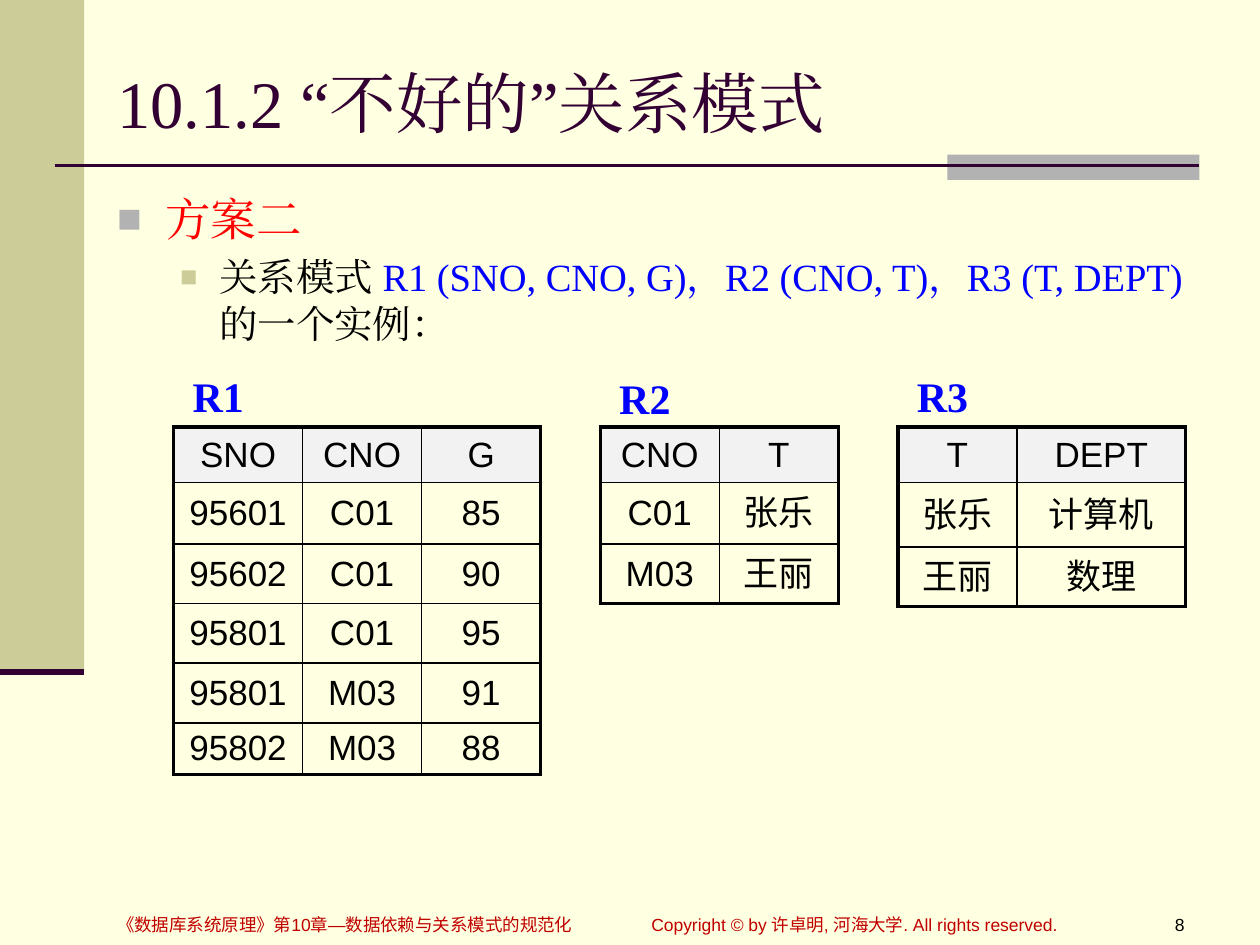
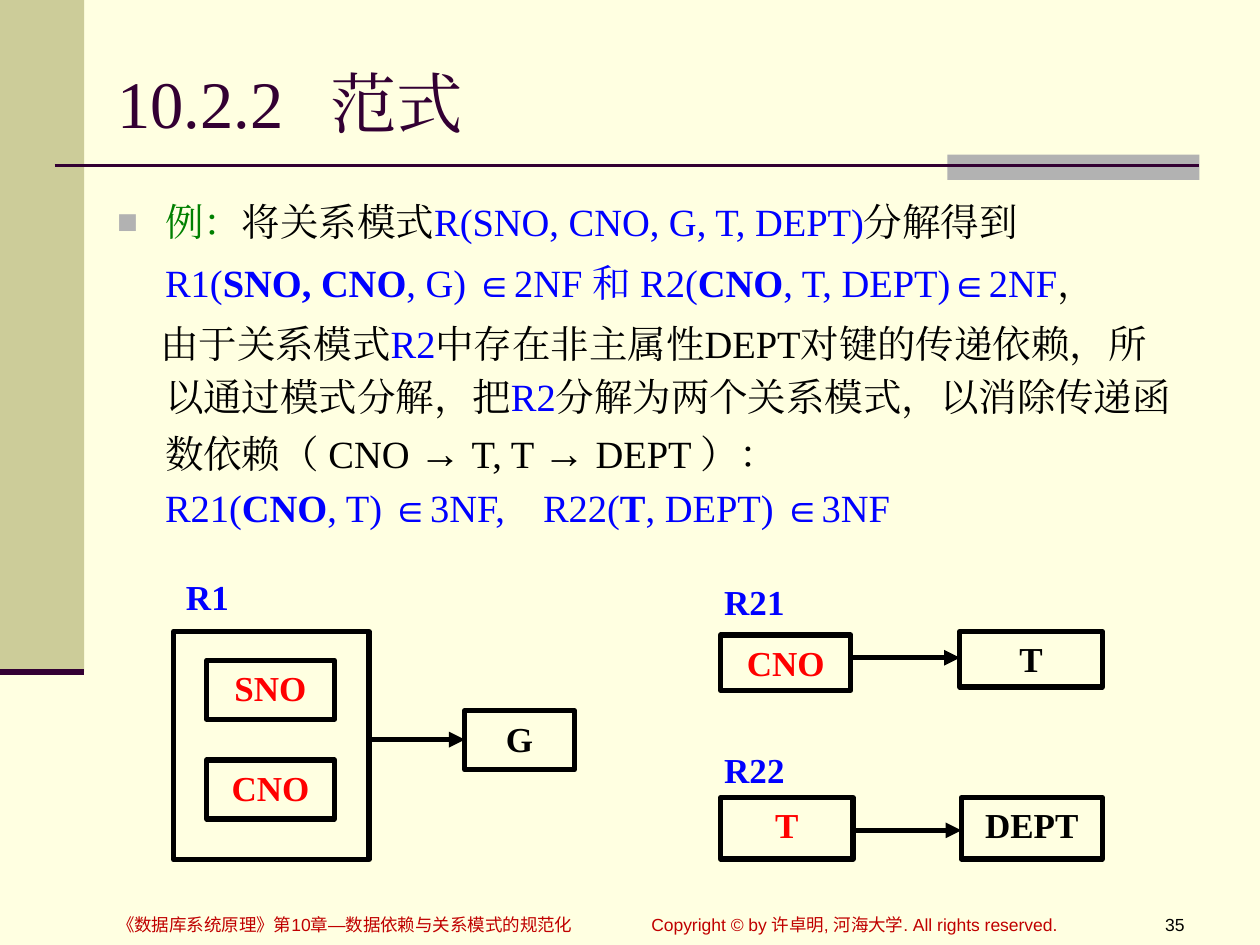
from dataclasses import dataclass
from typing import NamedTuple

from lxml.etree import SubElement
from pptx import Presentation
from pptx.dml.color import RGBColor
from pptx.enum.shapes import MSO_CONNECTOR, MSO_SHAPE
from pptx.enum.text import MSO_ANCHOR, PP_ALIGN
from pptx.oxml.ns import qn
from pptx.util import Cm, Pt


@dataclass(frozen=True)
class Theme:
    page: str = "FFFFE1"
    band: str = "CCCC99"
    block: str = "B2B2B2"
    plum: str = "330033"
    head: str = "F2F2F2"
    black: str = "000000"
    red: str = "FF0000"
    blue: str = "0000FF"
    green: str = "008000"
    foot: str = "C00000"
    serif: str = "Times New Roman"
    sans: str = "Arial"
    title: int = 38
    topic: int = 26
    label: int = 24
    body: int = 22
    cell: int = 20
    small: int = 10


T = Theme()


class Area(NamedTuple):
    """Left, top, width and height in centimetres."""
    x: float
    y: float
    w: float
    h: float


class Run(NamedTuple):
    text: str
    color: str = T.black
    bold: bool = False
    size: int = T.body


class Bullet(NamedTuple):
    color: str
    scale: int


class Grid(NamedTuple):
    name: str
    x: float
    top: float
    cols: list[float]
    rows: list[float]
    data: list[str]


class Box(NamedTuple):
    text: str
    area: Area
    color: str = T.black


class Arrow(NamedTuple):
    x: float
    y: float
    end: float


# Text
def put(para, text: str, *, size: int = T.body, color: str = T.black,
        bold: bool = False, font: str = T.serif, align=PP_ALIGN.LEFT) -> None:
    para.alignment = align
    run = para.add_run()
    run.text = text
    run.font.size, run.font.bold, run.font.name = Pt(size), bold, font
    run.font.color.rgb = RGBColor.from_string(color)
    SubElement(run._r.get_or_add_rPr(), qn("a:ea"), typeface=font)


def frame(slide, area: Area, anchor=MSO_ANCHOR.TOP):
    box = slide.shapes.add_textbox(*map(Cm, area)).text_frame
    box.word_wrap, box.vertical_anchor = True, anchor
    return box


def label(slide, area: Area, text: str, anchor=MSO_ANCHOR.TOP, **form) -> None:
    put(frame(slide, area, anchor).paragraphs[0], text, **form)


def tab(para, at: float) -> None:
    stops = SubElement(para._p.get_or_add_pPr(), qn("a:tabLst"))
    SubElement(stops, qn("a:tab"), pos=str(Cm(at)), algn="l")


def line(para, runs: list[Run], *, left: float = 0.97, first: float = 0,
         bullet: Bullet | None = None, before: float = 0,
         pitch: float = 1.0, stop: float = 0) -> None:
    prop = para._p.get_or_add_pPr()
    prop.set("marL", str(Cm(left)))
    prop.set("indent", str(Cm(first)))
    if bullet:
        tint = SubElement(prop, qn("a:buClr"))
        SubElement(tint, qn("a:srgbClr"), val=bullet.color)
        SubElement(prop, qn("a:buSzPct"), val=str(bullet.scale * 1000))
        SubElement(prop, qn("a:buFont"), typeface=T.sans)
        SubElement(prop, qn("a:buChar"), char="■")
    else:
        SubElement(prop, qn("a:buNone"))
    if stop:
        tab(para, stop)
    para.line_spacing = pitch
    if before:
        para.space_before = Pt(before)
    for run in runs:
        put(para, run.text, size=run.size, color=run.color, bold=run.bold)


# Shapes
def rect(slide, area: Area, fill: str = "", edge: float = 0):
    shape = slide.shapes.add_shape(MSO_SHAPE.RECTANGLE, *map(Cm, area))
    shape.shadow.inherit = False
    if fill:
        shape.fill.solid()
        shape.fill.fore_color.rgb = RGBColor.from_string(fill)
    else:
        shape.fill.background()
    if edge:
        shape.line.width = Pt(edge)
        shape.line.color.rgb = RGBColor.from_string(T.black)
    else:
        shape.line.fill.background()
    return shape


def rule(slide, x: float, y: float, end: float, width: float,
         color: str = T.black, tip: bool = False) -> None:
    link = slide.shapes.add_connector(
        MSO_CONNECTOR.STRAIGHT, Cm(x), Cm(y), Cm(end), Cm(y))
    link.line.width = Pt(width)
    link.line.color.rgb = RGBColor.from_string(color)
    if tip:
        SubElement(link.line._get_or_add_ln(), qn("a:tailEnd"), type="triangle")
    SubElement(link._element.spPr, qn("a:effectLst"))


def node(slide, box: Box) -> None:
    text = rect(slide, box.area, edge=3).text_frame
    text.word_wrap, text.vertical_anchor = True, MSO_ANCHOR.TOP
    put(text.paragraphs[0], box.text, size=T.cell, color=box.color,
        bold=True, align=PP_ALIGN.CENTER)


# Tables
def border(cell, outer: dict[str, bool]) -> None:
    prop = cell._tc.get_or_add_tcPr()
    for side, thick in outer.items():
        edge = SubElement(prop, qn(f"a:ln{side}"),
                          w=str(Pt(2.25 if thick else 1)))
        fill = SubElement(edge, qn("a:solidFill"))
        SubElement(fill, qn("a:srgbClr"), val=T.black)


def table(slide, grid: Grid) -> None:
    rows, cols = len(grid.rows), len(grid.cols)
    area = Area(grid.x, 8.61, sum(grid.cols), sum(grid.rows))
    sheet = slide.shapes.add_table(rows, cols, *map(Cm, area)).table
    sheet.first_row = sheet.horz_banding = False
    for col, width in zip(sheet.columns, grid.cols):
        col.width = Cm(width)
    for r, (height, words) in enumerate(zip(grid.rows, grid.data)):
        sheet.rows[r].height = Cm(height)
        for c, word in enumerate(words.split()):
            cell = sheet.cell(r, c)
            cell.vertical_anchor = MSO_ANCHOR.MIDDLE
            cell.margin_left = cell.margin_right = Cm(0.15)
            cell.margin_top = cell.margin_bottom = Cm(0.1)
            border(cell, {"L": c == 0, "R": c == cols - 1,
                          "T": r == 0, "B": r == rows - 1})
            if r:
                cell.fill.background()
            else:
                cell.fill.solid()
                cell.fill.fore_color.rgb = RGBColor.from_string(T.head)
            put(cell.text_frame.paragraphs[0], word, size=T.cell,
                font=T.sans, align=PP_ALIGN.CENTER)
    label(slide, Area(grid.x, grid.top, 1.8, 1.27), grid.name, size=T.label,
          color=T.blue, bold=True, align=PP_ALIGN.CENTER)


# Shared page: bands, title and footer
def page(deck, title: str, number: int):
    slide = deck.slides.add_slide(deck.slide_layouts[6])
    slide.background.fill.solid()
    slide.background.fill.fore_color.rgb = RGBColor.from_string(T.page)
    rect(slide, Area(0, 0, 1.7, 13.55), T.band)
    rect(slide, Area(19.1, 3.12, 5.08, 0.51), T.block)
    rule(slide, 1.1, 3.33, 24.18, 1.5, T.plum)
    rule(slide, 0, 13.55, 1.7, 3.5, T.plum)
    head = frame(slide, Area(2.11, 0.76, 22.02, 2.57), MSO_ANCHOR.MIDDLE)
    if "\t" in title:
        tab(head.paragraphs[0], 4.3)
    put(head.paragraphs[0], title, size=T.title, color=T.plum)
    foot = {"size": T.small, "font": T.sans}
    label(slide, Area(22.71, 18.31, 1.42, 0.69), str(number),
          align=PP_ALIGN.RIGHT, **foot)
    label(slide, Area(2.11, 18.31, 10.39, 0.69),
          "《数据库系统原理》第10章—数据依赖与关系模式的规范化",
          color=T.foot, **foot)
    label(slide, Area(12.88, 18.31, 9.19, 0.69),
          "Copyright © by 许卓明, 河海大学. All rights reserved.",
          color=T.foot, **foot)
    return slide


# Slide 1: three relations as tables
def schema(deck) -> None:
    slide = page(deck, "10.1.2 “不好的”关系模式", 8)
    body = frame(slide, Area(2.11, 3.73, 22.58, 14.6))
    line(body.paragraphs[0], [Run("方案二", T.red, size=T.topic)],
         first=-0.97, bullet=Bullet(T.block, 90))
    line(body.add_paragraph(), [
        Run("关系模式 "),
        Run("R1 (SNO, CNO, G)，R2 (CNO, T)，R3 (T, DEPT)", T.blue),
        Run("的一个实例："),
    ], left=2.06, first=-0.79, bullet=Bullet(T.band, 75), before=4.4)
    for grid in (
        Grid("R1", 3.5, 7.34, [2.6, 2.4, 2.4], [1.12, 1.24, 1.2, 1.2, 1.2, 1],
             ["SNO CNO G", "95601 C01 85", "95602 C01 90", "95801 C01 95",
              "95801 M03 91", "95802 M03 88"]),
        Grid("R2", 12.1, 7.39, [2.4, 2.4], [1.12, 1.24, 1.2],
             ["CNO T", "C01 张乐", "M03 王丽"]),
        Grid("R3", 18.1, 7.34, [2.4, 3.4], [1.12, 1.3, 1.2],
             ["T DEPT", "张乐 计算机", "王丽 数理"]),
    ):
        table(slide, grid)


# Slide 2: normal forms and dependency diagrams
def normal(deck) -> None:
    slide = page(deck, "10.2.2\t范式", 35)
    body = frame(slide, Area(2.11, 3.73, 22.02, 14.3))
    arrow = Run("→ ", size=T.label)
    line(body.paragraphs[0], [
        Run("例：", T.green), Run("将关系模式"),
        Run("R(SNO, CNO, G, T, DEPT)", T.blue), Run("分解得到"),
    ], first=-0.97, bullet=Bullet(T.block, 90), pitch=1.15)
    line(body.add_paragraph(), [
        Run("R1(", T.blue), Run("SNO, CNO", T.blue, True),
        Run(", G) ∈2NF 和 R2(", T.blue), Run("CNO", T.blue, True),
        Run(", T, DEPT)∈2NF", T.blue), Run("，"),
    ], before=4.4, pitch=1.15)
    line(body.add_paragraph(), [
        Run("由于关系模式"), Run("R2", T.blue),
        Run("中存在非主属性DEPT对键的传递依赖，所以通过模式分解，把"),
        Run("R2", T.blue),
        Run("分解为两个关系模式，以消除传递函数依赖（ CNO "),
        arrow, Run("T, T "), arrow, Run("DEPT ）："),
    ], first=-0.1, before=4.4, pitch=1.15)
    line(body.add_paragraph(), [
        Run("R21(", T.blue), Run("CNO", T.blue, True),
        Run(", T) ∈3NF,\tR22(", T.blue), Run("T", T.blue, True),
        Run(", DEPT) ∈3NF", T.blue),
    ], pitch=1.15, stop=8.59)

    rect(slide, Area(3.5, 12.73, 3.94, 4.6), edge=3)
    for box in (
        Box("SNO", Area(4.17, 13.31, 2.57, 1.19), T.red),
        Box("CNO", Area(4.17, 15.32, 2.57, 1.19), T.red),
        Box("G", Area(9.37, 14.33, 2.21, 1.19)),
        Box("CNO", Area(14.53, 12.8, 2.62, 1.12), T.red),
        Box("T", Area(19.35, 12.73, 2.87, 1.12)),
        Box("T", Area(14.53, 16.08, 2.67, 1.24), T.red),
        Box("DEPT", Area(19.38, 16.08, 2.84, 1.24)),
    ):
        node(slide, box)
    for link in (Arrow(7.44, 14.91, 9.37), Arrow(17.17, 13.26, 19.35),
                 Arrow(17.2, 16.74, 19.38)):
        rule(slide, link.x, link.y, link.end, 3, tip=True)
    for name, area in (("R1", Area(3.5, 11.48, 1.65, 1.19)),
                       ("R21", Area(14.35, 11.58, 2.16, 0.99)),
                       ("R22", Area(14.35, 14.96, 2.67, 0.81))):
        label(slide, area, name, size=T.cell, color=T.blue, bold=True)


def main() -> None:
    deck = Presentation()
    deck.slide_width, deck.slide_height = Cm(25.4), Cm(19.05)
    schema(deck)
    normal(deck)
    deck.save("out.pptx")


if __name__ == "__main__":
    main()
